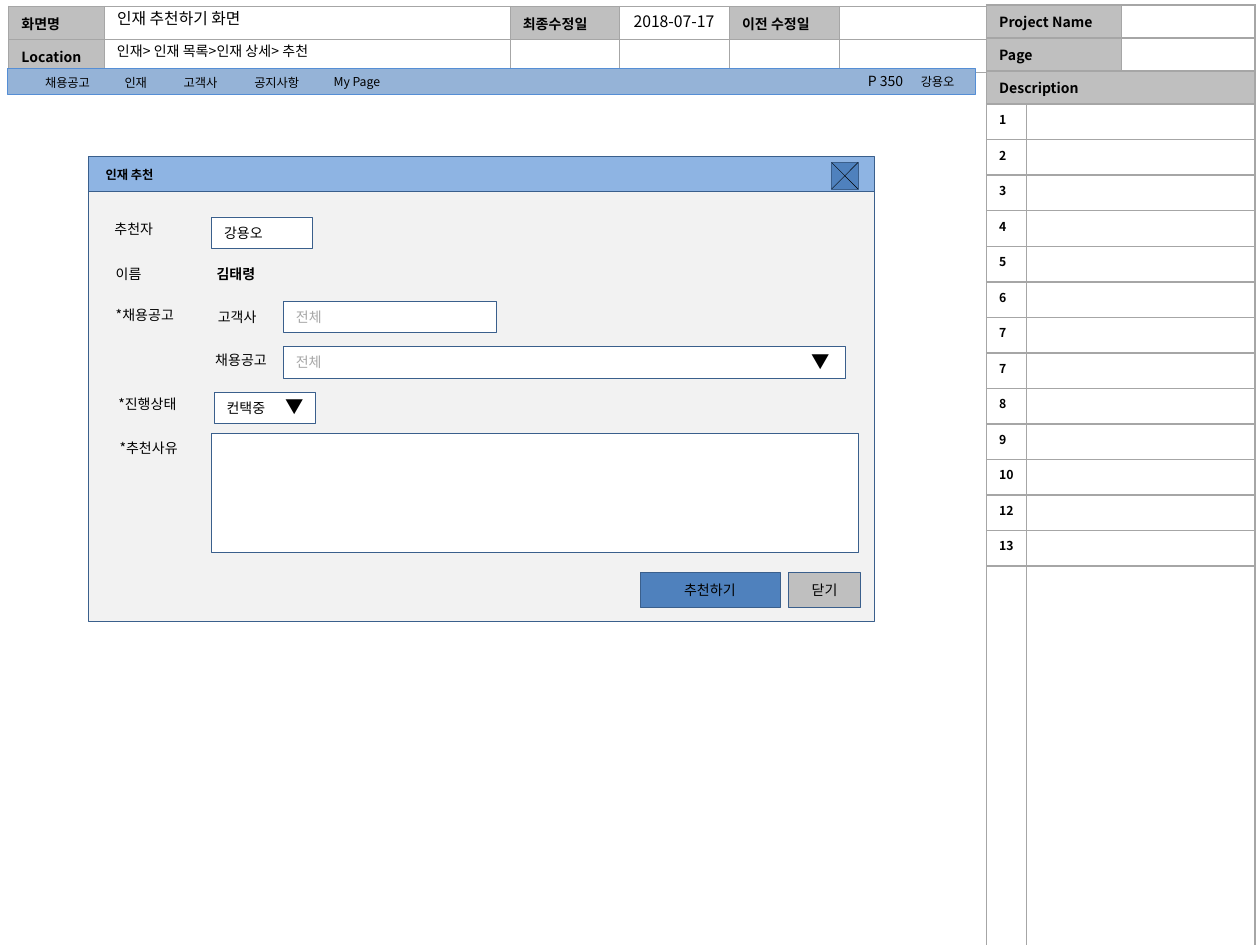
from lxml.etree import SubElement
from pptx import Presentation
from pptx.dml.color import RGBColor
from pptx.enum.shapes import MSO_CONNECTOR, MSO_SHAPE
from pptx.enum.text import MSO_ANCHOR, MSO_AUTO_SIZE, PP_ALIGN
from pptx.oxml import parse_xml
from pptx.oxml.ns import nsdecls, qn
from pptx.util import Inches, Pt

FONT = "Noto Sans CJK KR"
BLACK, WHITE, GRAY, RULE = "000000", "FFFFFF", "BFBFBF", "A6A6A6"
BLUE, OUTLINE = "4F81BD", "3A5F8C"
color = RGBColor.from_string


def write(frame, text, size, bold=False, ink=BLACK, align=PP_ALIGN.LEFT):
    frame.word_wrap = True
    paragraph = frame.paragraphs[0]
    paragraph.text = text
    paragraph.alignment = align
    font = paragraph.font
    font.name, font.size, font.bold = FONT, Pt(size), bold
    font.color.rgb = color(ink)
    # Korean glyphs take the East Asian typeface
    properties = paragraph._p.pPr.find(qn("a:defRPr"))
    SubElement(properties, qn("a:ea"), typeface=FONT)


def add_box(left, top, width, height, fill, line=OUTLINE, text="",
            ink=BLACK, align=PP_ALIGN.LEFT):
    shape = slide.shapes.add_shape(MSO_SHAPE.RECTANGLE, Inches(left), Inches(top),
                                   Inches(width), Inches(height))
    shape.shadow.inherit = False
    shape.fill.solid()
    shape.fill.fore_color.rgb = color(fill)
    shape.line.color.rgb = color(line)
    shape.line.width = Pt(0.25)
    if text:
        shape.text_frame.vertical_anchor = MSO_ANCHOR.MIDDLE
        write(shape.text_frame, text, 8, ink=ink, align=align)


presentation = Presentation()
presentation.slide_width, presentation.slide_height = Inches(10), Inches(7.5)
slide = presentation.slides.add_slide(presentation.slide_layouts[5])

# Header and description tables: left, top, columns, rows, cells, head size, rule widths
numbers = [1, 2, 3, 4, 5, 6, 7, 7, 8, 9, 10, 12, 13]
header_cells = [["화면명", "", "최종수정일", "", "이전 수정일", ""],
                ["Location", "", "", "", "", ""]]
description_cells = ([["Project Name", "", ""], ["Page", "", ""], ["Description", "", ""]]
                     + [[str(number), "", ""] for number in numbers] + [["", "", ""]])
tables = [
    (0.07, 0.05, [0.76, 3.22, 0.87, 0.87, 0.87, 1.18], [0.26] * 2, header_cells, 0.5),
    (7.83, 0.04, [0.32, 0.75, 1.06], [0.26] * 3 + [0.282] * 13 + [3.03],
     description_cells, 1),
]
for left, top, columns, rows, cells, rule in tables:
    table_shape = slide.shapes.add_table(len(rows), len(columns), Inches(left), Inches(top),
                                         Inches(sum(columns)), Inches(sum(rows)))
    table = table_shape.table
    table.first_row = table.horz_banding = False
    for column, width in zip(table.columns, columns):
        column.width = Inches(width)
    for row, height in zip(table.rows, rows):
        row.height = Inches(height)
    for r, texts in enumerate(cells):
        for c, text in enumerate(texts):
            cell = table.cell(r, c)
            numbered = len(columns) == 3 and r > 2
            write(cell.text_frame, text, 7 if numbered else 8, bold=True)
            cell.vertical_anchor = MSO_ANCHOR.TOP if numbered else MSO_ANCHOR.MIDDLE
            cell.fill.solid()
            cell.fill.fore_color.rgb = color(GRAY if text and not numbered else WHITE)
            widths = {"L": rule, "R": rule, "T": rule, "B": rule}
            if numbered:
                widths["R" if c == 0 else "L"] = 0.5
            for index, (side, width) in enumerate(widths.items()):
                border = parse_xml(
                    f'<a:ln{side} {nsdecls("a")} w="{Pt(width)}"><a:solidFill>'
                    f'<a:srgbClr val="{RULE}"/></a:solidFill></a:ln{side}>')
                cell._tc.get_or_add_tcPr().insert(index, border)
    if len(columns) == 3:
        for r in range(len(rows)):
            first, last = (0, 1) if r < 2 else (0, 2) if r == 2 else (1, 2)
            table.cell(r, first).merge(table.cell(r, last))

# Dialog title bar with its close button
add_box(0.7, 1.24, 6.24, 0.31, "8EB4E3")
add_box(6.6, 1.29, 0.21, 0.21, BLUE)
for start, end in [(6.6, 6.81), (6.81, 6.6)]:
    cross = slide.shapes.add_connector(MSO_CONNECTOR.STRAIGHT, Inches(start), Inches(1.29),
                                       Inches(end), Inches(1.5))
    cross.line.color.rgb = color(BLACK)
    cross.line.width = Pt(0.25)
    SubElement(cross._element.spPr, qn("a:effectLst"))

# Dialog body, fields and buttons
add_box(0.7, 1.52, 6.24, 3.41, "F2F2F2")
add_box(1.68, 1.72, 0.8, 0.25, WHITE, text="강용오")
add_box(2.25, 2.39, 1.69, 0.25, WHITE, text="전체", ink=RULE)
add_box(2.25, 2.75, 4.46, 0.25, WHITE, text="전체", ink=RULE)
add_box(1.7, 3.11, 0.8, 0.25, WHITE, text="컨택중")
add_box(1.68, 3.44, 5.13, 0.94, WHITE)
add_box(5.08, 4.54, 1.11, 0.28, BLUE, text="추천하기", align=PP_ALIGN.CENTER)
add_box(6.26, 4.54, 0.57, 0.28, GRAY, text="닫기", align=PP_ALIGN.CENTER)

# Menu bar
add_box(0.06, 0.54, 7.68, 0.21, "95B3D7", line="558ED5")

# Labels: left, top, width, height, text, size, bold
labels = [
    (0.74, 1.28, 2.62, 0.22, "인재 추천", 7, True),
    (0.81, 1.7, 0.91, 0.24, "추천자", 8, False),
    (0.82, 2.06, 0.91, 0.24, "이름", 8, False),
    (0.82, 2.38, 1.02, 0.24, "*채용공고", 8, False),
    (0.84, 3.09, 0.91, 0.24, "*진행상태", 8, False),
    (0.85, 3.44, 0.91, 0.24, "*추천사유", 8, False),
    (1.62, 2.06, 0.91, 0.24, "김태령", 8, True),
    (1.63, 2.4, 1.02, 0.24, "고객사", 8, False),
    (1.61, 2.74, 1.02, 0.24, "채용공고", 8, False),
    (6.34, 2.73, 0.39, 0.29, "▼", 10.5, False),
    (2.17, 3.09, 0.28, 0.29, "▼", 10.5, False),
    (0.26, 0.55, 0.63, 0.22, "채용공고", 7, False),
    (0.89, 0.55, 0.63, 0.22, "인재", 7, False),
    (1.36, 0.55, 0.63, 0.22, "고객사", 7, False),
    (1.92, 0.55, 0.63, 0.22, "공지사항", 7, False),
    (2.55, 0.54, 0.8, 0.22, "My Page", 7, False),
    (6.79, 0.53, 0.57, 0.24, "P 350", 8, False),
    (7.21, 0.54, 0.54, 0.22, "강용오", 7, False),
    (4.93, 0.04, 0.94, 0.25, "2018-07-17", 9, False),
    (0.83, 0.29, 2.59, 0.24, "인재> 인재 목록>인재 상세> 추천", 8, False),
]
for left, top, width, height, text, size, bold in labels:
    label = slide.shapes.add_textbox(Inches(left), Inches(top), Inches(width), Inches(height))
    write(label.text_frame, text, size, bold)

# Screen title, raised above the header table
title = slide.shapes.title
title.left, title.top = Inches(0.83), Inches(0.02)
title.width, title.height = Inches(3.07), Inches(0.25)
title.text_frame.auto_size = MSO_AUTO_SIZE.NONE
title.text_frame.vertical_anchor = MSO_ANCHOR.TOP
write(title.text_frame, "인재 추천하기 화면", 9)
slide.shapes.element.append(title.element)

presentation.save("out.pptx")
